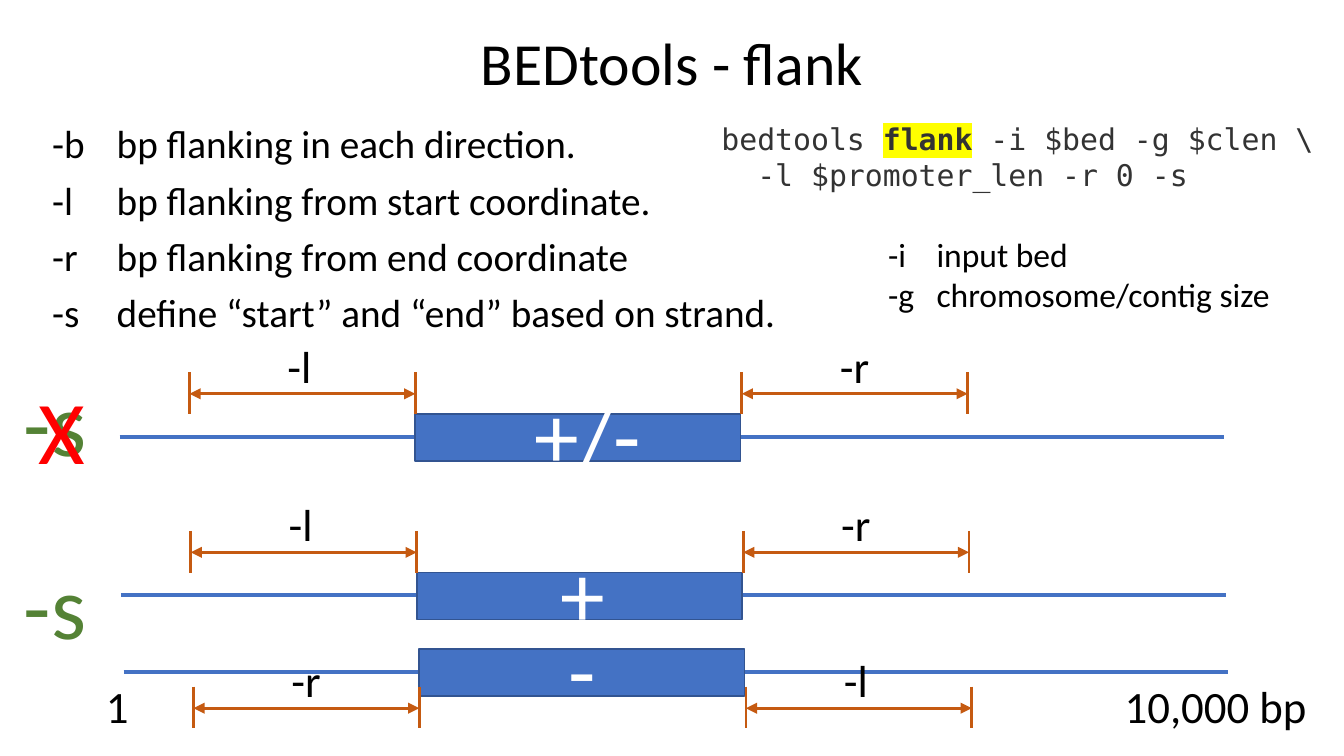
from lxml import etree
from pptx import Presentation
from pptx import util as u
from pptx.dml.color import RGBColor
from pptx.enum import shapes, text
from pptx.oxml import ns

BLUE, EDGE, RUST = "4472C4", "325491", "C55A11"
BLACK, WHITE, GREEN, RED = "000000", "FFFFFF", "548235", "FF0000"
MONO = "DejaVu Sans Mono"


def tint(code):
    return RGBColor.from_string(code)


def child(node, tag, **attrs):
    return etree.SubElement(node, ns.qn(tag), attrs)


class Canvas:
    def __init__(self, slide, font="Calibri"):
        self.slide = slide
        self.font = font

    def label(self, x, y, w, h, lines, size, color=BLACK, font=None, wrap=False,
              align=None, anchor=text.MSO_ANCHOR.TOP, space=None, gap=0, tab=None):
        box = self.slide.shapes.add_textbox(*map(u.Inches, (x, y, w, h)))
        frame = box.text_frame
        frame.word_wrap = wrap
        frame.auto_size = text.MSO_AUTO_SIZE.NONE if wrap else text.MSO_AUTO_SIZE.SHAPE_TO_FIT_TEXT
        frame.vertical_anchor = anchor
        for i, line in enumerate(lines):
            para = frame.paragraphs[0] if i == 0 else frame.add_paragraph()
            if align is not None:
                para.alignment = align
            if space:
                para.line_spacing = space
            if i and gap:
                para.space_before = u.Pt(gap)
            if tab:
                stops = child(para._p.get_or_add_pPr(), "a:tabLst")
                child(stops, "a:tab", pos=str(u.Inches(tab)), algn="l")
            para.font.size = u.Pt(size)
            para.font.name = font or self.font
            para.font.color.rgb = tint(color)
            for part in [line] if isinstance(line, str) else line:
                para.add_run().text = part
        return frame

    def mark(self, run, color):
        run.font.bold = True
        light = child(run._r.get_or_add_rPr(), "a:highlight")
        child(light, "a:srgbClr", val=color)

    def line(self, x1, y1, x2, y2, color=RUST, width=1.5, heads=False):
        link = self.slide.shapes.add_connector(
            shapes.MSO_CONNECTOR.STRAIGHT, *map(u.Inches, (x1, y1, x2, y2)))
        link.line.color.rgb = tint(color)
        link.line.width = u.Pt(width)
        if heads:
            stroke = link.line._get_or_add_ln()
            child(stroke, "a:headEnd", type="triangle")
            child(stroke, "a:tailEnd", type="triangle")
        child(link._element.spPr, "a:effectLst")

    def rect(self, x, y, w, h):
        shape = self.slide.shapes.add_shape(
            shapes.MSO_SHAPE.RECTANGLE, *map(u.Inches, (x, y, w, h)))
        shape.shadow.inherit = False
        shape.fill.solid()
        shape.fill.fore_color.rgb = tint(BLUE)
        shape.line.color.rgb = tint(EDGE)
        shape.line.width = u.Pt(1)

    def flank(self, x, top, name):
        for edge in (x, x + 1.68):
            self.line(edge, top, edge, top + 0.31)
        self.line(x, top + 0.16, x + 1.68, top + 0.16, heads=True)
        wide = 0.38 if name == "-l" else 0.42
        self.label(x + 0.63, top - 0.3, wide, 0.5, [name], 24)

    def track(self, x, y, sign, inset, wide, names, shift=-0.48):
        self.line(x - 2.2, y, x + 6.02, y, BLUE, 2.25)
        self.rect(x, y - 0.17, 2.42, 0.35)
        self.label(x + inset, y - 0.48, wide, 0.91, [sign], 48, WHITE)
        for start, name in zip((x - 1.68, x + 2.43), names):
            self.flank(start, y + shift, name)


def main():
    deck = Presentation()
    deck.slide_width = u.Inches(10)
    deck.slide_height = deck.slide_width * 9 // 16
    page = Canvas(deck.slides.add_slide(deck.slide_layouts[6]))

    page.label(0.69, 0.06, 8.62, 0.86, ["BEDtools - flank"], 32, wrap=True,
               align=text.PP_ALIGN.CENTER, anchor=text.MSO_ANCHOR.MIDDLE, space=0.9)
    page.label(0.29, 0.88, 5.89, 1.82, [
        "-b\tbp flanking in each direction.",
        "-l\tbp flanking from start coordinate.",
        "-r\tbp flanking from end coordinate",
        "-s\tdefine “start” and “end” based on strand.",
    ], 21, wrap=True, space=0.9, gap=7.5, tab=0.48)

    code = page.label(5.27, 0.85, 4.66, 0.64, [
        ("bedtools ", "flank", " -i $bed -g $clen \\"),
        "  -l $promoter_len -r 0 -s",
    ], 16, "333333", MONO)
    page.mark(code.paragraphs[0].runs[1], "FFFF00")
    page.label(6.51, 1.69, 3.08, 0.71, ["-i\tinput bed", "-g\tchromosome/contig size"], 18, tab=0.36)

    page.track(3.09, 3.25, "+/-", 0.79, 1, ("-l", "-r"))
    page.track(3.1, 4.43, "+", 0.97, 0.54, ("-l", "-r"))
    page.track(3.12, 5, "-", 1.01, 0.41, ("-r", "-l"), 0.11)

    page.label(0.69, 5, 0.37, 0.5, ["1"], 24)
    page.label(8.27, 5, 1.57, 0.5, ["10,000 bp"], 24)
    for y in (2.68, 4.04):
        page.label(0.08, y, 0.67, 0.91, ["-s"], 48, GREEN)
    page.label(0.19, 2.74, 0.55, 0.91, ["X"], 48, RED)

    deck.save("out.pptx")


if __name__ == "__main__":
    main()
